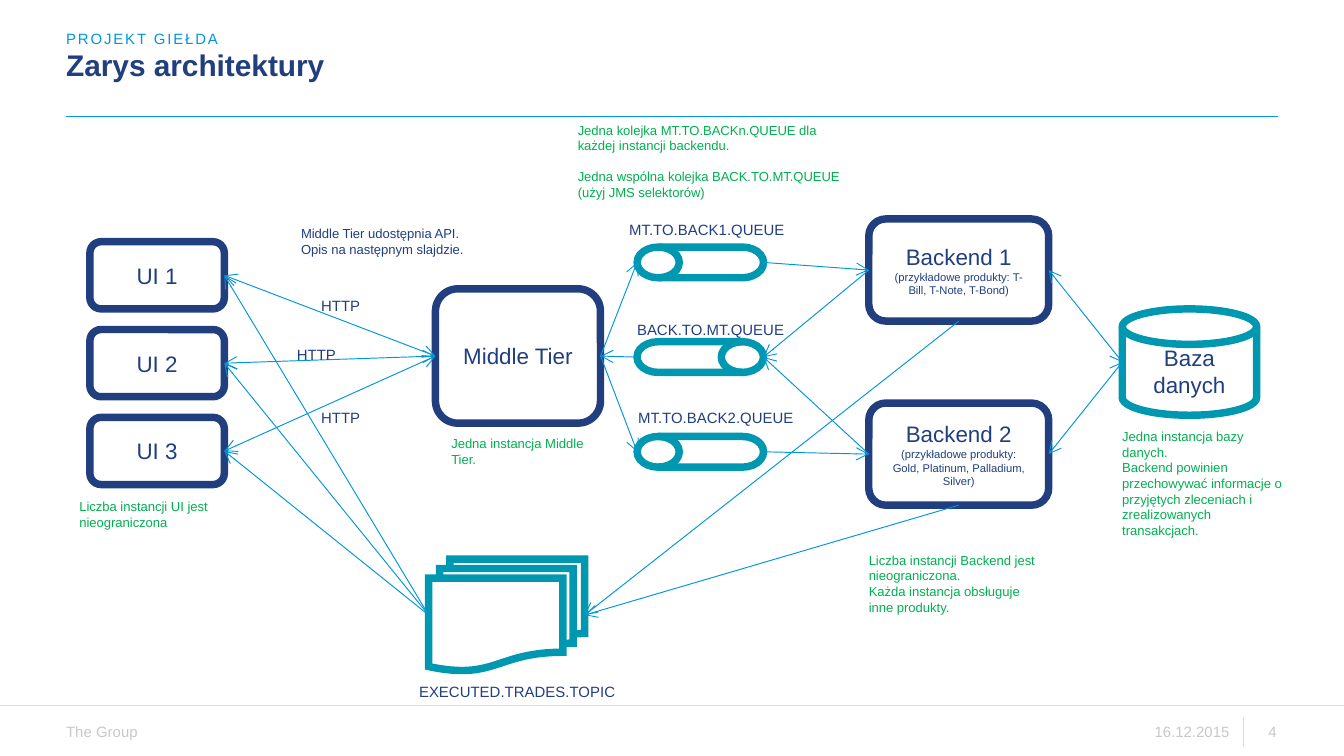
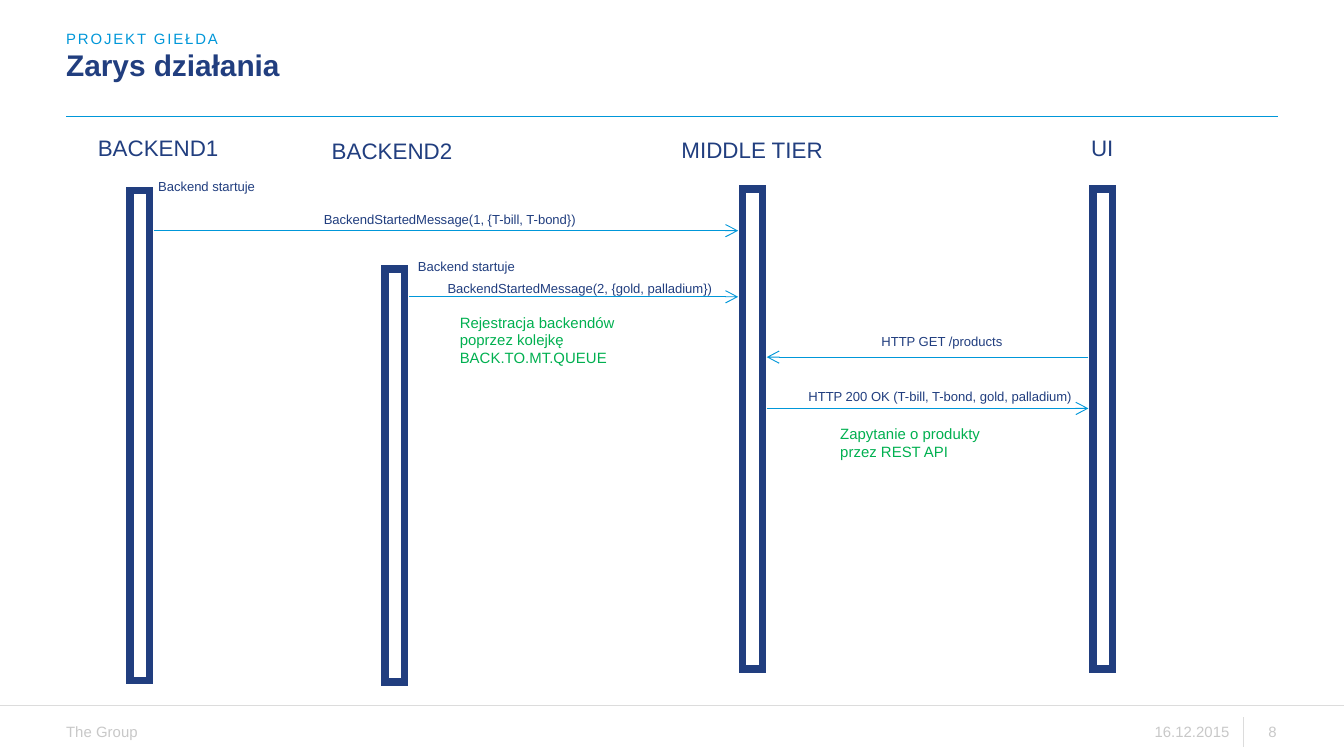
from dataclasses import dataclass

from lxml import etree
from pptx import Presentation
from pptx.dml.color import RGBColor
from pptx.enum import shapes, text
from pptx.oxml import ns
from pptx.util import Cm, Pt

KIND = shapes.MSO_SHAPE
ALIGN = text.PP_ALIGN
ANCHOR = text.MSO_ANCHOR
SITES = {"top": 0, "left": 1, "bottom": 2, "right": 3}
GLUED = (KIND.ROUNDED_RECTANGLE, KIND.FLOWCHART_MULTIDOCUMENT)


@dataclass(frozen=True)
class Theme:
    """Colours and type sizes of the deck."""
    navy: str = "213E7F"
    sky: str = "0097D9"
    teal: str = "0098B0"
    green: str = "00B050"
    grey: str = "C8C8C8"
    rule: str = "DCDCDC"
    white: str = "FFFFFF"
    font: str = "Arial"
    title: float = 16
    node: float = 12
    label: float = 8
    note: float = 7
    detail: float = 6
    outline: float = 4
    hairline: float = 0.75
    link: float = 0.5


@dataclass(frozen=True)
class Box:
    """A rectangle in centimetres."""
    left: float
    top: float
    width: float
    height: float

    def inner(self, dx, dy, width, height):
        """Return a box placed relative to this one."""
        return Box(self.left + dx, self.top + dy, width, height)

    def lengths(self):
        """Return left, top, width and height as slide lengths."""
        return [Cm(v) for v in (self.left, self.top, self.width, self.height)]


THEME = Theme()
PAGE = Box(0, 0, 25.4, 14.29)
HEADER = Box(1.25, 0.56, 22.9, 1.64)
FOOTER = Box(0, 13.33, 25.4, 0.96)


def rgb(value):
    """Return a colour from its hex value."""
    return RGBColor.from_string(value)


def style(paragraph, size, color, align=ALIGN.LEFT, bold=False):
    """Format a paragraph and its runs."""
    paragraph.alignment = align
    for run in paragraph.runs:
        run.font.name = THEME.font
        run.font.size = Pt(size)
        run.font.bold = bold
        run.font.color.rgb = rgb(color)


def set_margins(frame, margin=0):
    """Set the same margin on all sides of a text frame."""
    frame.margin_left = frame.margin_right = Cm(margin)
    frame.margin_top = frame.margin_bottom = Cm(margin)


def add_text(slide, box, content, size, color, align=ALIGN.LEFT,
             anchor=ANCHOR.TOP, wrap=False):
    """Add a text box without margins and return its frame."""
    frame = slide.shapes.add_textbox(*box.lengths()).text_frame
    set_margins(frame)
    frame.word_wrap = wrap
    frame.vertical_anchor = anchor
    frame.text = content
    for paragraph in frame.paragraphs:
        style(paragraph, size, color, align)
    return frame


def add_label(slide, box, content, size=THEME.label):
    """Add a one-line navy label."""
    return add_text(slide, box, content, size, THEME.navy)


def add_note(slide, box, content, size=THEME.note, color=THEME.green):
    """Add a wrapping remark."""
    return add_text(slide, box, content, size, color, wrap=True)


def add_node(slide, kind, box, color, content="", rotation=0):
    """Add a white, thickly outlined shape; later lines are details."""
    node = slide.shapes.add_shape(kind, *box.lengths())
    node.shadow.inherit = False
    node.rotation = rotation
    node.fill.solid()
    node.fill.fore_color.rgb = rgb(THEME.white)
    node.line.color.rgb = rgb(color)
    node.line.width = Pt(THEME.outline)
    outline = node._element.spPr.find(ns.qn("a:ln"))
    etree.SubElement(outline, ns.qn("a:miter"), lim="800000")
    if content:
        frame = node.text_frame
        set_margins(frame, 0.3)
        frame.word_wrap = True
        frame.vertical_anchor = ANCHOR.MIDDLE
        frame.text = content
        for index, paragraph in enumerate(frame.paragraphs):
            size = THEME.detail if index else THEME.node
            style(paragraph, size, THEME.navy, ALIGN.CENTER)
    return node


def add_line(slide, start, end, color=THEME.sky, width=THEME.hairline, heads=()):
    """Draw a line between two points given as slide lengths."""
    line = slide.shapes.add_connector(shapes.MSO_CONNECTOR.STRAIGHT, *start, *end)
    line.line.color.rgb = rgb(color)
    line.line.width = Pt(width)
    properties = line._element.spPr
    outline = properties.find(ns.qn("a:ln"))
    for head in heads:
        etree.SubElement(outline, ns.qn(f"a:{head}"), type="arrow")
    etree.SubElement(properties, ns.qn("a:effectLst"))
    return line


def side_point(node, side):
    """Return the middle of one side of a node."""
    x = {"left": node.left, "right": node.left + node.width}
    y = {"top": node.top, "bottom": node.top + node.height}
    return (x.get(side, node.left + node.width // 2),
            y.get(side, node.top + node.height // 2))


def link(slide, source, source_side, target, target_side, both=False):
    """Connect two nodes with an arrow at the target or at both ends."""
    heads = ("headEnd", "tailEnd") if both else ("tailEnd",)
    line = add_line(slide, side_point(source, source_side),
                    side_point(target, target_side), width=THEME.link, heads=heads)
    if source.auto_shape_type in GLUED:
        line.begin_connect(source, SITES[source_side])
    if target.auto_shape_type in GLUED:
        line.end_connect(target, SITES[target_side])


def header(slide, box, title):
    """Place the section name, the title and the rule below them."""
    heading = slide.shapes.title
    heading.left, heading.top, heading.width, heading.height = \
        box.inner(0, 0.4, 18.59, 0.61).lengths()
    frame = heading.text_frame
    frame.text = title
    set_margins(frame)
    frame.auto_size = text.MSO_AUTO_SIZE.NONE
    frame.word_wrap = True
    frame.vertical_anchor = ANCHOR.TOP
    frame.paragraphs[0].line_spacing = Pt(17)
    style(frame.paragraphs[0], THEME.title, THEME.navy, bold=True)
    section = add_text(slide, box.inner(0, 0, 18.59, 0.33), "PROJEKT GIEŁDA",
                       THEME.label, THEME.sky, anchor=ANCHOR.BOTTOM, wrap=True)
    section.paragraphs[0].runs[0]._r.get_or_add_rPr().set("spc", "100")
    bottom = Cm(box.top + box.height)
    add_line(slide, (Cm(box.left), bottom), (Cm(box.left + box.width), bottom))


def footer(slide, box, number):
    """Place the company, date and page number under a rule."""
    add_line(slide, (Cm(box.left), Cm(box.top)),
             (Cm(box.left + box.width), Cm(box.top)), THEME.rule)
    for dx, width, content, align in ((1.25, 1.45, "The Group", ALIGN.LEFT),
                                      (21.79, 1.45, "16.12.2015", ALIGN.RIGHT),
                                      (23.57, 0.56, str(number), ALIGN.RIGHT)):
        add_text(slide, box.inner(dx, 0.34, width, 0.33), content,
                 THEME.label, THEME.grey, align, ANCHOR.MIDDLE)
    divider = Cm(box.left + 23.5)
    add_line(slide, (divider, Cm(box.top + 0.23)), (divider, Cm(box.top + 0.79)),
             THEME.rule)


def new_slide(deck, title, number):
    """Add a title-only slide with header and footer."""
    slide = deck.slides.add_slide(deck.slide_layouts[5])
    header(slide, HEADER, title)
    footer(slide, FOOTER, number)
    return slide


def clients(slide, box):
    """Stack the UI instances and return them."""
    add_note(slide, box.inner(-0.2, 4.85, 2.51, 0.61),
             "Liczba instancji UI jest nieograniczona")
    return [add_node(slide, KIND.ROUNDED_RECTANGLE,
                     box.inner(0, i * 1.66, box.width, 1.27), THEME.navy, f"UI {i + 1}")
            for i in range(3)]


def middle_tier(slide, box):
    """Place the middle tier with its remarks and return it."""
    add_note(slide, box.inner(0.3, 2.77, 2.51, 0.61), "Jedna instancja Middle Tier.")
    add_note(slide, box.inner(-2.54, -1.19, 3.3, 0.61),
             "Middle Tier udostępnia API. Opis na następnym slajdzie.",
             color=THEME.navy)
    return add_node(slide, KIND.ROUNDED_RECTANGLE, box, THEME.navy, "Middle Tier")


def queues(slide, box):
    """Stack the queues with their names and return them."""
    remark = add_note(slide, box.inner(-1.12, -2.36, 5.18, 1.5),
                      "Jedna kolejka MT.TO.BACKn.QUEUE dla każdej instancji backendu.\n"
                      "Jedna wspólna kolejka BACK.TO.MT.QUEUE (użyj JMS selektorów)")
    remark.paragraphs[0].space_after = Pt(8)
    drums = []
    for i, (name, dx, dy, rotation) in enumerate((
            ("MT.TO.BACK1.QUEUE", -0.15, -0.5, 180),
            ("BACK.TO.MT.QUEUE", 0, -0.4, 0),
            ("MT.TO.BACK2.QUEUE", 0.02, -0.53, 180))):
        top = i * 1.79
        drums.append(add_node(slide, KIND.FLOWCHART_DIRECT_ACCESS_STORAGE,
                              box.inner(0, top, box.width, 0.58), THEME.teal,
                              rotation=rotation))
        add_label(slide, box.inner(dx, top + dy, 3, 0.33), name)
    return drums


def backends(slide, box):
    """Stack the backend instances and return them."""
    add_note(slide, box.inner(0, 6.3, 3.15, 1.19),
             "Liczba instancji Backend jest nieograniczona.\n"
             "Każda instancja obsługuje inne produkty.")
    products = ("T-Bill, T-Note, T-Bond", "Gold, Platinum, Palladium, Silver")
    return [add_node(slide, KIND.ROUNDED_RECTANGLE,
                     box.inner(0, i * 3.48, box.width, 1.93), THEME.navy,
                     f"Backend {i + 1}\n(przykładowe produkty: {goods})")
            for i, goods in enumerate(products)]


def database(slide, box):
    """Place the database with its remark and return it."""
    add_note(slide, box.inner(0, 2.26, 3.15, 2.08),
             "Jedna instancja bazy danych.\nBackend powinien przechowywać informacje "
             "o przyjętych zleceniach i zrealizowanych transakcjach.")
    return add_node(slide, KIND.FLOWCHART_MAGNETIC_DISK, box, THEME.teal, "Baza danych")


def trades_topic(slide, box):
    """Place the topic of executed trades and return it."""
    add_label(slide, box.inner(-0.18, 2.33, 3.73, 0.33), "EXECUTED.TRADES.TOPIC")
    return add_node(slide, KIND.FLOWCHART_MULTIDOCUMENT, box, THEME.teal)


def architecture(slide, box):
    """Lay out the components and connect them."""
    uis = clients(slide, box.inner(1.7, 4.57, 2.54, 4.6))
    tier = middle_tier(slide, box.inner(8.23, 5.46, 3.12, 2.54))
    to_first, to_tier, to_second = queues(slide, box.inner(12.04, 4.67, 2.39, 4.16))
    servers = backends(slide, box.inner(16.42, 4.14, 3.4, 5.41))
    store = database(slide, box.inner(21.21, 5.84, 2.54, 2.01))
    topic = trades_topic(slide, box.inner(8.1, 10.57, 2.95, 2.11))
    for ui, (dx, dy) in zip(uis, ((6.07, 5.61), (5.61, 6.53), (6.07, 7.72))):
        link(slide, ui, "right", tier, "left", both=True)
        link(slide, topic, "left", ui, "right")
        add_label(slide, box.inner(dx, dy, 0.74, 0.33), "HTTP")
    for queue, server in zip((to_first, to_second), servers):
        link(slide, tier, "right", queue, "left")
        link(slide, queue, "right", server, "left")
        link(slide, server, "left", to_tier, "right")
        link(slide, server, "right", store, "left", both=True)
        link(slide, server, "bottom", topic, "right")
    link(slide, to_tier, "left", tier, "right")


def lifeline(slide, box, name, name_box):
    """Draw a participant as an upright bar; return its centre."""
    turned = box.inner((box.width - box.height) / 2, (box.height - box.width) / 2,
                       box.height, box.width)
    add_node(slide, KIND.MATH_MINUS, turned, THEME.navy, rotation=90)
    add_label(slide, name_box, name, THEME.node)
    return box.left + box.width / 2


def message(slide, source, target, y, content, label_box):
    """Draw a message between two lifelines with its text."""
    gap = 0.27 if target > source else -0.27
    add_line(slide, (Cm(source + gap), Cm(y)), (Cm(target - gap), Cm(y)),
             width=THEME.link, heads=("tailEnd",))
    add_label(slide, label_box, content, THEME.note)


def sequence(slide, box):
    """Lay out the lifelines, their messages and remarks."""
    first, second, tier, ui = [
        lifeline(slide, box.inner(center - 0.79, top, 1.58, length), name,
                 box.inner(left, name_top, width, 0.51))
        for name, center, top, length, left, name_top, width in (
            ("BACKEND1", 2.64, 1.93, 12.6, 1.85, 2.54, 2.29),
            ("BACKEND2", 7.46, 3.68, 10.62, 6.27, 2.59, 2.29),
            ("MIDDLE TIER", 14.22, 1.94, 12.34, 12.88, 2.57, 2.69),
            ("UI", 20.84, 1.94, 12.34, 20.62, 2.54, 0.43))]
    for source, target, y, content, left, top, width in (
            (first, tier, 4.36, "BackendStartedMessage(1, {T-bill, T-bond})",
             6.12, 3.99, 4.88),
            (second, tier, 5.61, "BackendStartedMessage(2, {gold, palladium})",
             8.46, 5.31, 5.08),
            (ui, tier, 6.75, "HTTP GET /products", 16.66, 6.3, 2.34),
            (tier, ui, 7.72, "HTTP 200 OK (T-bill, T-bond, gold, palladium)",
             15.28, 7.34, 5.08)):
        message(slide, source, target, y, content, box.inner(left, top, width, 0.3))
    for left, top in ((2.99, 3.38), (7.9, 4.89)):
        add_label(slide, box.inner(left, top, 1.85, 0.3), "Backend startuje", THEME.note)
    add_note(slide, box.inner(8.69, 5.92, 3.99, 1.02),
             "Rejestracja backendów poprzez kolejkę BACK.TO.MT.QUEUE", THEME.label)
    add_note(slide, box.inner(15.88, 8.03, 3.35, 0.69),
             "Zapytanie o produkty przez REST API", THEME.label)


deck = Presentation()
deck.slide_width, deck.slide_height = Cm(PAGE.width), Cm(PAGE.height)
architecture(new_slide(deck, "Zarys architektury", 4), PAGE)
sequence(new_slide(deck, "Zarys działania", 8), PAGE)
deck.save("out.pptx")
